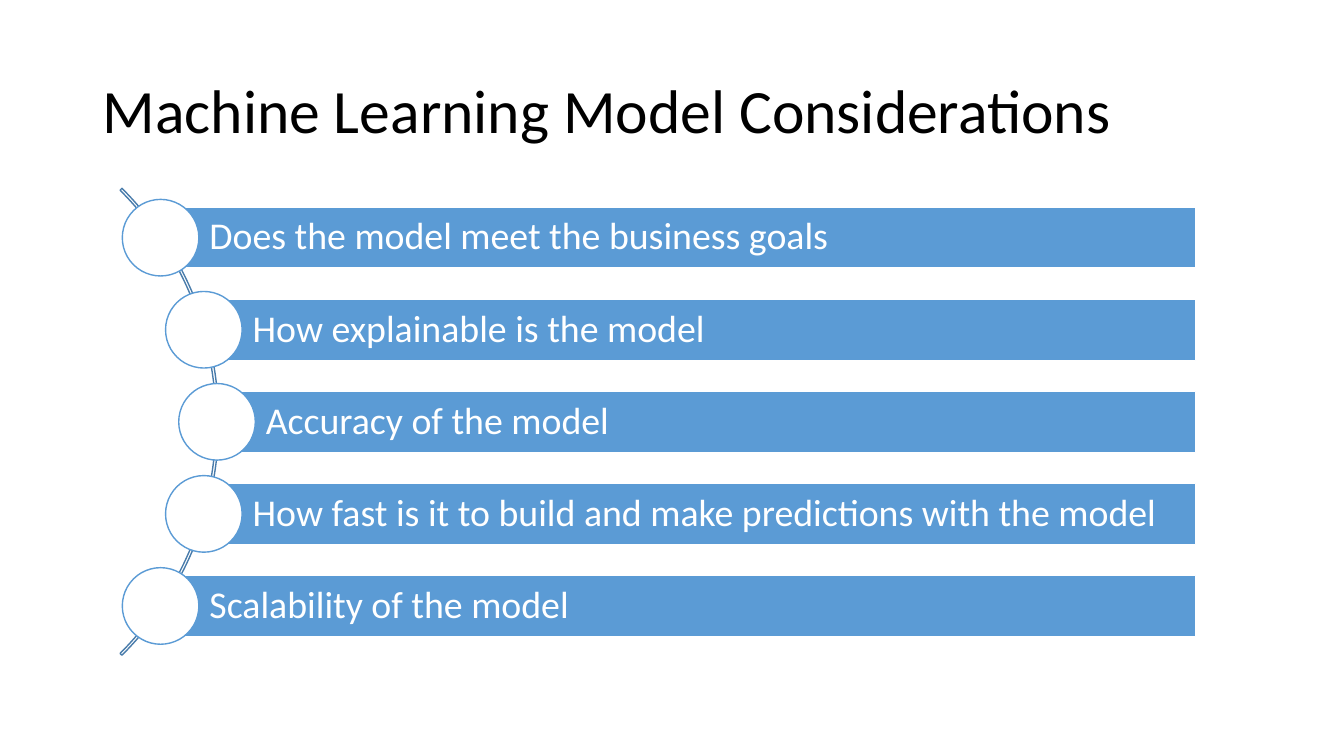
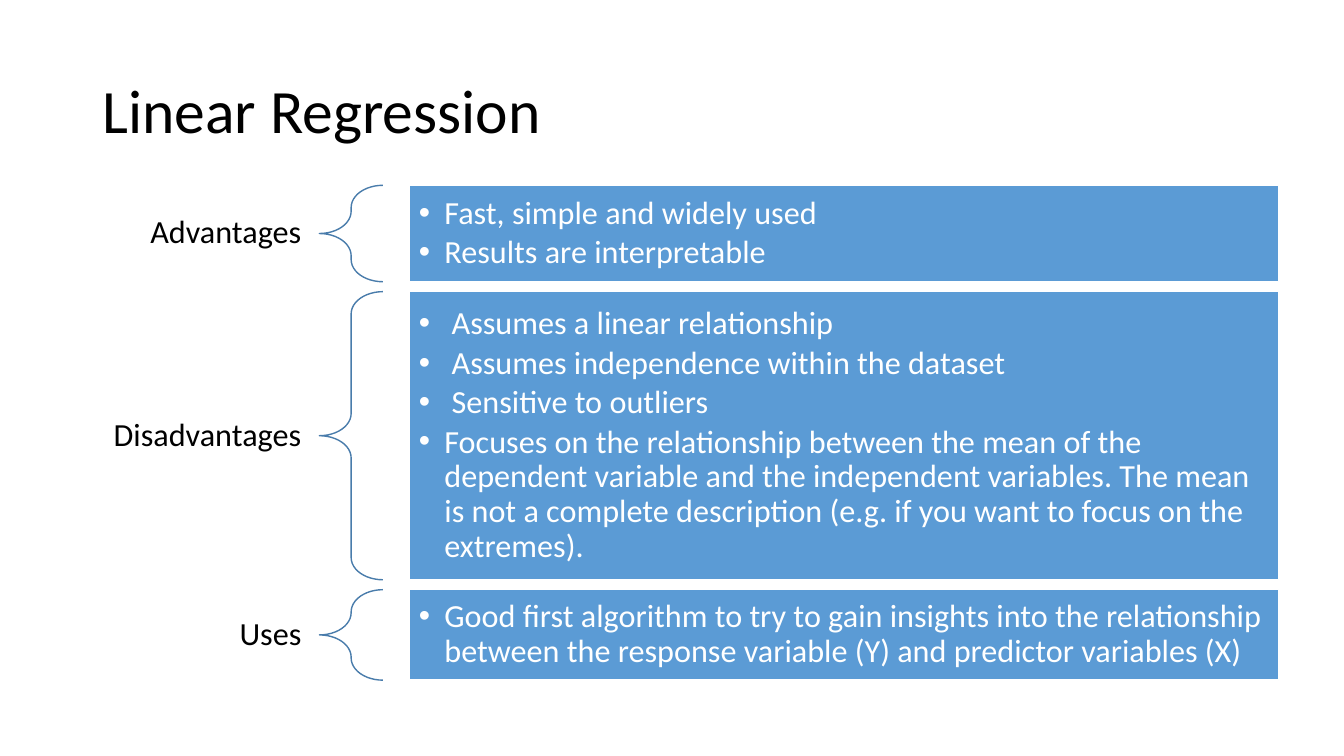
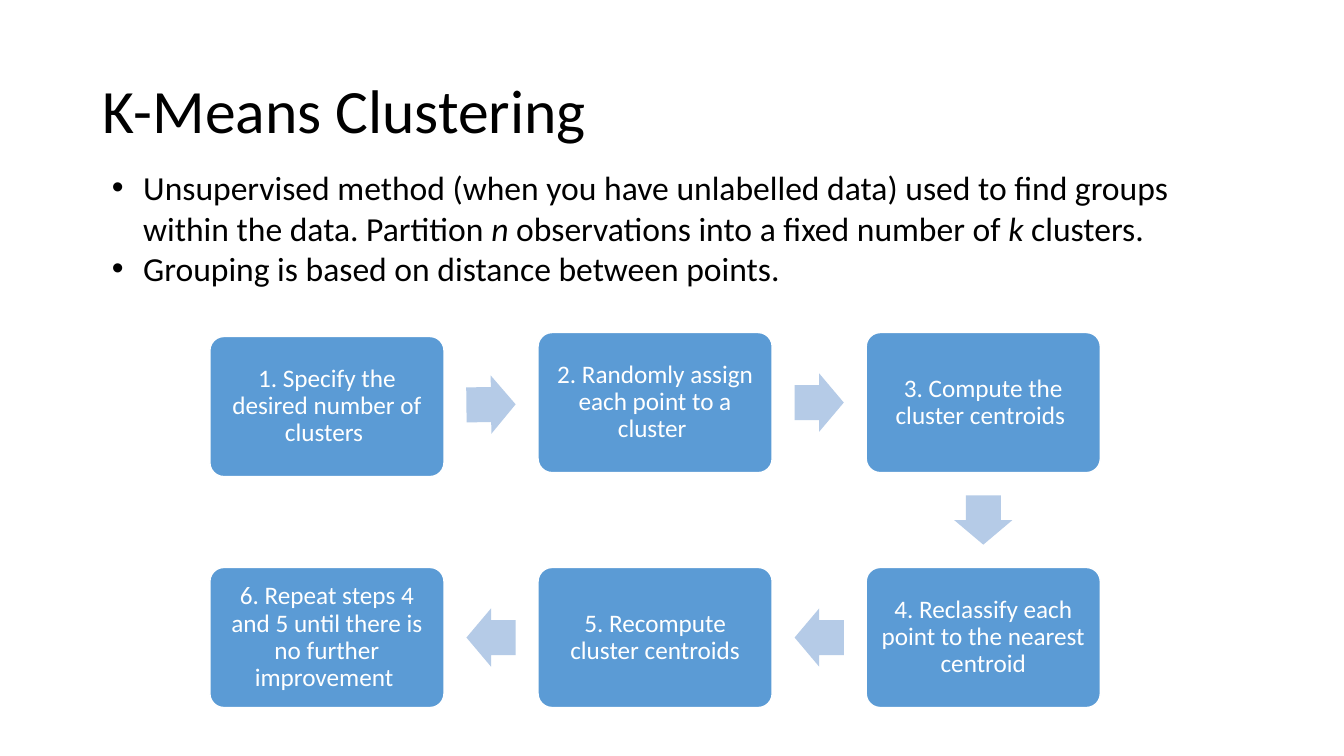
from dataclasses import dataclass
from math import atan2, degrees, sqrt

from lxml.etree import SubElement
from pptx import Presentation
from pptx.dml.color import RGBColor as Rgb
from pptx.enum.shapes import MSO_SHAPE as Kind
from pptx.enum.text import MSO_ANCHOR as Anchor, MSO_AUTO_SIZE as Fit, PP_ALIGN as Align
from pptx.oxml.ns import qn
from pptx.util import Cm, Pt


@dataclass(frozen=True)
class Theme:
    font: str = "Calibri"
    black: str = "000000"
    white: str = "FFFFFF"
    blue: str = "5B9BD5"
    pale: str = "B5CBE7"
    edge: str = "497CAB"
    title: int = 44
    bar: int = 27
    body: int = 24
    panel: int = 23
    step: int = 18


class Deck:
    """Holds the style and the current slide; lengths are in centimetres."""

    def __init__(self, theme):
        self.theme = theme
        self.prs = Presentation()
        self.prs.slide_width, self.prs.slide_height = Cm(33.87), Cm(19.05)
        self.slide = None

    def start(self, title):
        self.slide = self.prs.slides.add_slide(self.prs.slide_layouts[5])
        box = self.slide.shapes.title
        box.left, box.top, box.width, box.height = Cm(2.33), Cm(1.01), Cm(29.21), Cm(3.68)
        self.fill_in(box, [title], self.theme.title, self.theme.black)

    def fill_in(self, shape, paras, size, color, align=Align.LEFT, anchor=Anchor.MIDDLE,
                pads=None, lead=0.9, after=0, indent=0):
        """Each paragraph is a string or a list of (text, italic) runs."""
        frame = shape.text_frame
        frame.word_wrap, frame.auto_size = True, Fit.NONE
        frame.vertical_anchor = anchor
        if pads:
            left, top, right, low = map(Cm, pads)
            frame.margin_left, frame.margin_top = left, top
            frame.margin_right, frame.margin_bottom = right, low
        for i, runs in enumerate(paras):
            para = frame.add_paragraph() if i else frame.paragraphs[0]
            para.alignment, para.line_spacing = align, lead
            para.space_before, para.space_after = Pt(0), Pt(after)
            if indent:
                self.bullet(para, indent)
            for text, slant in [(runs, False)] if isinstance(runs, str) else runs:
                run = para.add_run()
                run.text = text
                font = run.font
                font.name, font.size, font.italic = self.theme.font, Pt(size), slant
                font.color.rgb = Rgb.from_string(color)

    def bullet(self, para, indent):
        props = para._p.get_or_add_pPr()
        props.set("marL", str(Cm(indent)))
        props.set("indent", str(-Cm(indent)))
        SubElement(props, qn("a:buFont")).set("typeface", "Arial")
        SubElement(props, qn("a:buChar")).set("char", "•")

    def shape(self, kind, x, y, w, h, fill=None, line=None, adj=()):
        shape = self.slide.shapes.add_shape(kind, Cm(x), Cm(y), Cm(w), Cm(h))
        shape.shadow.inherit = False
        for i, value in enumerate(adj):
            shape.adjustments[i] = value
        if fill:
            shape.fill.solid()
            shape.fill.fore_color.rgb = Rgb.from_string(fill)
        else:
            shape.fill.background()
        if line:
            shape.line.color.rgb = Rgb.from_string(line)
            shape.line.width = Pt(1)
        else:
            shape.line.fill.background()
        return shape

    def text(self, x, y, w, h, paras, size, **style):
        box = self.slide.shapes.add_textbox(Cm(x), Cm(y), Cm(w), Cm(h))
        self.fill_in(box, paras, size, self.theme.black, **style)

    def block(self, kind, x, y, w, h, paras, size, adj=(), **style):
        """Blue filled shape with white text."""
        look = self.theme
        shape = self.shape(kind, x, y, w, h, look.blue, look.white, adj)
        self.fill_in(shape, paras, size, look.white, **style)

    def arrow(self, start, end):
        """Block arrow half way between two points."""
        (x1, y1), (x2, y2) = start, end
        w, h = 1.24, 1.47
        arrow = self.shape(Kind.RIGHT_ARROW, (x1 + x2 - w) / 2, (y1 + y2 - h) / 2, w, h,
                           self.theme.pale, adj=(0.6, 0.5))
        arrow.rotation = degrees(atan2(y2 - y1, x2 - x1))


def goals(deck):
    look = deck.theme
    deck.start("Machine Learning Model Considerations")
    # Arc that carries the circles
    mid_x, mid_y, rad = -2.81, 10.63, 8.32
    deck.shape(Kind.BLOCK_ARC, mid_x - rad, mid_y - rad, 2 * rad, 2 * rad,
               line=look.edge, adj=(189, 27, 0.004))
    # Bars start at the circle centres
    right, high, dot, pitch = 30.13, 1.54, 1.93, 2.32
    bars = [
        "Does the model meet the business goals",
        "How explainable is the model",
        "Accuracy of the model",
        "How fast is it to build and make predictions with the model",
        "Scalability of the model",
    ]
    for i, text in enumerate(bars):
        rise = (i - 2) * pitch
        x, y = mid_x + sqrt((rad - 0.04) ** 2 - rise ** 2), mid_y + rise
        deck.block(Kind.RECTANGLE, x, y - high / 2, right - x, high, [text], look.bar,
                   pads=(1.23, 0.17, 0.17, 0.17))
        deck.shape(Kind.OVAL, x - dot / 2, y - dot / 2, dot, dot, look.white, look.blue)


def linear(deck):
    look = deck.theme
    deck.start("Linear Regression")
    # Label, brace and panel per row
    rows = [
        ("Advantages", 2.43, [
            "Fast, simple and widely used",
            "Results are interpretable",
        ]),
        ("Disadvantages", 7.26, [
            " Assumes a linear relationship",
            " Assumes independence within the dataset",
            " Sensitive to outliers",
            "Focuses on the relationship between the mean of the dependent variable and "
            "the independent variables. The mean is not a complete description "
            "(e.g. if you want to focus on the extremes).",
        ]),
        ("Uses", 2.28, [
            "Good first algorithm to try to gain insights into the relationship between "
            "the response variable (Y) and predictor variables (X)",
        ]),
    ]
    y, gap, tall = 4.67, 0.25, 1.27
    for label, high, points in rows:
        deck.text(0, y + (high - tall) / 2, 8.05, tall, [label], look.panel,
                  align=Align.RIGHT, pads=(0.45, 0.15, 0.45, 0.15))
        deck.shape(Kind.LEFT_BRACE, 8.05, y, 1.6, high, line=look.edge, adj=(0.35, 0.5))
        deck.block(Kind.RECTANGLE, 10.31, y, 21.91, high, points, look.panel,
                   pads=(0.25,) * 4, after=3.3, indent=0.64)
        y += high + gap


def means(deck):
    look = deck.theme
    deck.start("K-Means Clustering")
    # Steps run right along the top row and back along the bottom row
    steps = [
        "1. Specify the desired number of clusters ",
        "2. Randomly assign each point to a cluster ",
        "3. Compute the cluster centroids ",
        "4. Reclassify each point to the nearest centroid",
        "5. Recompute cluster centroids",
        "6. Repeat steps 4 and 5 until there is no further improvement ",
    ]
    wide, high, last = 5.9, 3.53, None
    for i, text in enumerate(steps):
        x = 5.29 + 8.27 * min(i, 5 - i)
        y = 8.38 if i < 3 else 14.3
        if i == 0:
            y += 0.1  # the first step sits slightly lower
        here = x + wide / 2, y + high / 2
        if last:
            deck.arrow(last, here)
        deck.block(Kind.ROUNDED_RECTANGLE, x, y, wide, high, [text], look.step,
                   adj=(0.1,), align=Align.CENTER, pads=(0.18,) * 4)
        last = here
    # Summary above the steps
    notes = [
        [("Unsupervised method (when you have unlabelled data) used to find groups "
          "within the data. Partition ", False),
         ("n", True), (" observations into a fixed number of ", False),
         ("k", True), (" clusters.", False)],
        "Grouping is based on distance between points.",
    ]
    deck.text(2.57, 4.09, 29.46, 3.33, notes, look.body, anchor=Anchor.TOP,
              lead=1.0, indent=0.79)


def main():
    deck = Deck(Theme())
    for build in (goals, linear, means):
        build(deck)
    deck.prs.save("out.pptx")


if __name__ == "__main__":
    main()
